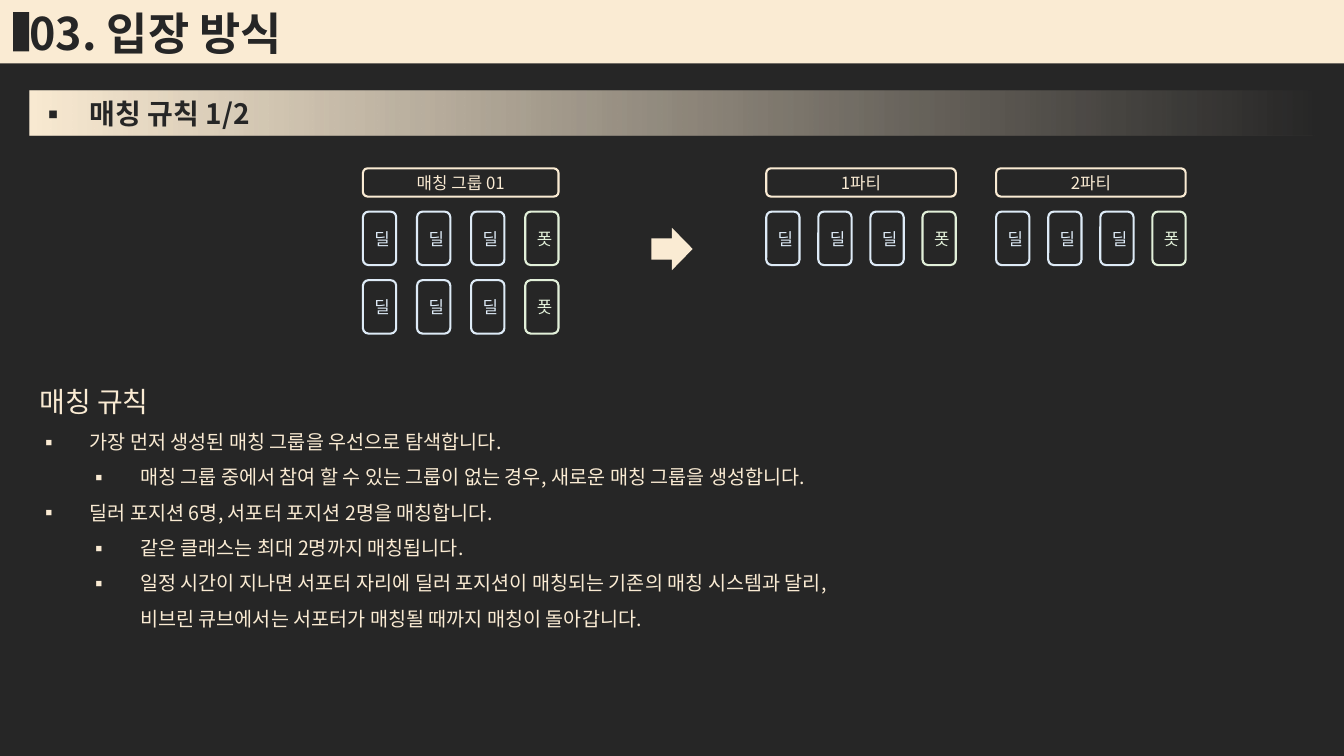
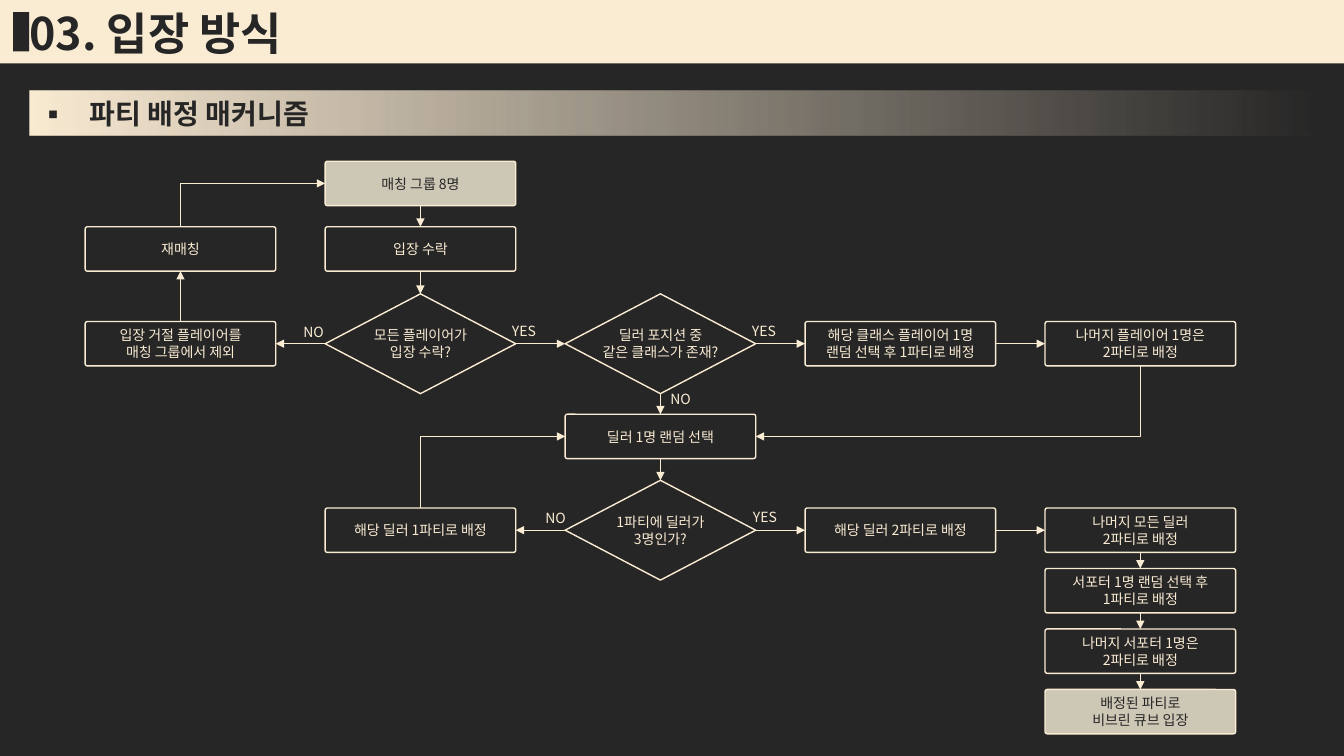
"""Build the two entry-matching slides: the matching rules and the party assignment flow."""
import copy
from dataclasses import dataclass

from pptx import Presentation
from pptx import util as u
from pptx.dml.color import RGBColor
from pptx.enum import shapes, text
from pptx.oxml import parse_xml
from pptx.oxml.ns import nsdecls, qn


@dataclass(frozen=True)
class Theme:
    """Colours, font and type sizes of the deck."""
    dark: str = "262626"
    cream: str = "FAEBD3"
    stone: str = "CDC7B6"
    dealer: str = "DEEBF7"
    support: str = "E2F0D9"
    font: str = "Noto Sans CJK KR"
    title: int = 32
    heading: int = 20
    body: int = 14
    card: int = 12
    flow: int = 10


@dataclass(frozen=True)
class Line:
    """One paragraph; depth 0 has no bullet."""
    words: str
    depth: int = 0
    size: int = 14


@dataclass(frozen=True)
class Squad:
    """A labelled set of player cards."""
    label: str
    left: float
    width: float
    rows: int = 1


@dataclass(frozen=True)
class Step:
    """A flow step centred on a column and a height."""
    words: str
    column: int
    middle: float
    decision: bool = False
    terminal: bool = False


@dataclass(frozen=True)
class Link:
    """An arrow between two steps, leaving and arriving at given sides."""
    start: str
    leave: int
    end: str
    arrive: int


@dataclass(frozen=True)
class Answer:
    """A YES or NO label beside an arrow."""
    words: str
    left: float
    top: float


THEME = Theme()
TOP, LEFT, BOTTOM, RIGHT = range(4)
SLIDE_WIDTH, SLIDE_HEIGHT = 13.33, 7.5
CARD_WIDTH, CARD_HEIGHT = 0.33, 0.53
STEP_WIDTH, STEP_HEIGHT, DECISION_HEIGHT = 1.89, 0.44, 0.99
FIRST_COLUMN, COLUMN_PITCH = 1.79, 2.38

RULES = [
    Line("매칭 규칙", size=THEME.heading),
    Line("가장 먼저 생성된 매칭 그룹을 우선으로 탐색합니다.", 1),
    Line("매칭 그룹 중에서 참여 할 수 있는 그룹이 없는 경우, 새로운 매칭 그룹을 생성합니다.", 2),
    Line("딜러 포지션 6명, 서포터 포지션 2명을 매칭합니다.", 1),
    Line("같은 클래스는 최대 2명까지 매칭됩니다.", 2),
    Line("일정 시간이 지나면 서포터 자리에 딜러 포지션이 매칭되는 기존의 매칭 시스템과 달리,\n"
         "비브린 큐브에서는 서포터가 매칭될 때까지 매칭이 돌아갑니다.", 2),
]

SQUADS = [
    Squad("매칭 그룹 01", 3.6, 1.94, rows=2),
    Squad("1파티", 7.6, 1.88),
    Squad("2파티", 9.88, 1.88),
]

STEPS = {
    "group": Step("매칭 그룹 8명", 1, 1.82, terminal=True),
    "accept": Step("입장 수락", 1, 2.47),
    "rematch": Step("재매칭", 0, 2.47),
    "exclude": Step("입장 거절 플레이어를\n매칭 그룹에서 제외", 0, 3.41),
    "all accepted": Step("모든 플레이어가\n입장 수락?", 1, 3.41, decision=True),
    "same class": Step("딜러 포지션 중\n같은 클래스가 존재?", 2, 3.41, decision=True),
    "class first": Step("해당 클래스 플레이어 1명\n랜덤 선택 후 1파티로 배정", 3, 3.41),
    "class second": Step("나머지 플레이어 1명은\n2파티로 배정", 4, 3.41),
    "pick dealer": Step("딜러 1명 랜덤 선택", 2, 4.33),
    "dealer first": Step("해당 딜러 1파티로 배정", 1, 5.26),
    "three dealers": Step("1파티에 딜러가\n3명인가?", 2, 5.26, decision=True),
    "dealer second": Step("해당 딜러 2파티로 배정", 3, 5.26),
    "other dealers": Step("나머지 모든 딜러\n2파티로 배정", 4, 5.26),
    "support first": Step("서포터 1명 랜덤 선택 후\n1파티로 배정", 4, 5.86),
    "support second": Step("나머지 서포터 1명은\n2파티로 배정", 4, 6.46),
    "enter": Step("배정된 파티로\n비브린 큐브 입장", 4, 7.06, terminal=True),
}

LINKS = [
    Link("group", BOTTOM, "accept", TOP),
    Link("accept", BOTTOM, "all accepted", TOP),
    Link("all accepted", LEFT, "exclude", RIGHT),
    Link("exclude", TOP, "rematch", BOTTOM),
    Link("rematch", TOP, "group", LEFT),
    Link("all accepted", RIGHT, "same class", LEFT),
    Link("same class", RIGHT, "class first", LEFT),
    Link("class first", RIGHT, "class second", LEFT),
    Link("class second", BOTTOM, "pick dealer", RIGHT),
    Link("same class", BOTTOM, "pick dealer", TOP),
    Link("pick dealer", BOTTOM, "three dealers", TOP),
    Link("three dealers", LEFT, "dealer first", RIGHT),
    Link("dealer first", TOP, "pick dealer", LEFT),
    Link("three dealers", RIGHT, "dealer second", LEFT),
    Link("dealer second", RIGHT, "other dealers", LEFT),
    Link("other dealers", BOTTOM, "support first", TOP),
    Link("support first", BOTTOM, "support second", TOP),
    Link("support second", BOTTOM, "enter", TOP),
]

ANSWERS = [
    Answer("NO", 2.73, 3.16),
    Answer("YES", 4.98, 3.15),
    Answer("YES", 7.36, 3.15),
    Answer("NO", 6.37, 3.83),
    Answer("NO", 5.13, 5.01),
    Answer("YES", 7.37, 5),
]


def box(left: float, top: float, width: float, height: float) -> tuple:
    """Return a rectangle in inches as lengths."""
    return tuple(u.Inches(value) for value in (left, top, width, height))


def write(paragraph, words: str, *, size: int, color: str, bold: bool = False,
          align=text.PP_ALIGN.LEFT, spacing: float = 1, depth: int = 0) -> None:
    """Fill a paragraph with formatted text, bulleted when depth is above 0."""
    paragraph.text = words
    properties = paragraph._p.get_or_add_pPr()
    properties.set("marL", str(u.Inches(0.5 * depth)))
    properties.set("indent", str(u.Inches(-0.5 if depth else 0)))
    if depth:
        properties.append(parse_xml(f'<a:buFont {nsdecls("a")} typeface="{THEME.font}"/>'))
        properties.append(parse_xml(f'<a:buChar {nsdecls("a")} char="▪"/>'))
        paragraph.level = depth - 1
    else:
        properties.append(parse_xml(f'<a:buNone {nsdecls("a")}/>'))
    paragraph.alignment = align
    paragraph.line_spacing = spacing
    paragraph.space_before = u.Pt(0)
    for run in paragraph.runs:
        run.font.size, run.font.bold, run.font.name = u.Pt(size), bold, THEME.font
        run.font.color.rgb = RGBColor.from_string(color)
        run._r.rPr.append(parse_xml(f'<a:ea {nsdecls("a")} typeface="{THEME.font}"/>'))
    for line_break in paragraph._p.findall(qn("a:br")):
        line_break.append(copy.deepcopy(paragraph.runs[0]._r.rPr))


def draw(slide, kind, area: tuple, *, fill: str = "", line: str = "", weight: float = 1):
    """Add a flat preset shape."""
    shape = slide.shapes.add_shape(kind, *area)
    shape.shadow.inherit = False
    if fill:
        shape.fill.solid()
        shape.fill.fore_color.rgb = RGBColor.from_string(fill)
    else:
        shape.fill.background()
    if line:
        shape.line.color.rgb = RGBColor.from_string(line)
        shape.line.width = u.Pt(weight)
    else:
        shape.line.fill.background()
    return shape


def place(slide, placeholder, area: tuple, anchor=text.MSO_ANCHOR.MIDDLE):
    """Move a placeholder to the front of an area and return its text frame."""
    placeholder.left, placeholder.top, placeholder.width, placeholder.height = area
    slide.shapes._spTree.append(placeholder._element)
    frame = placeholder.text_frame
    frame.auto_size, frame.word_wrap = text.MSO_AUTO_SIZE.NONE, True
    frame.vertical_anchor = anchor
    return frame


def start_slide(deck, layout: int, heading: str):
    """Add a slide with the title band and the fading heading band."""
    slide = deck.slides.add_slide(deck.slide_layouts[layout])
    rectangle = shapes.MSO_SHAPE.RECTANGLE
    fading = draw(slide, rectangle, box(0.29, 0.9, 12.75, 0.44))._element.spPr
    stops = "".join(
        f'<a:gs pos="{percent * 1000}"><a:srgbClr val="{THEME.cream}">'
        f'<a:alpha val="{percent * 1000}"/></a:srgbClr></a:gs>' for percent in (0, 50, 100))
    fading.replace(fading.find(qn("a:noFill")), parse_xml(
        f'<a:gradFill {nsdecls("a")} rotWithShape="1"><a:gsLst>{stops}</a:gsLst>'
        '<a:lin ang="10800000" scaled="0"/></a:gradFill>'))
    draw(slide, rectangle, box(0, 0, SLIDE_WIDTH, 0.63), fill=THEME.cream)
    draw(slide, rectangle, box(0.13, 0.12, 0.16, 0.39), fill=THEME.dark)
    title = place(slide, slide.shapes.title, box(0, 0, 4.37, 0.64))
    title.margin_left = u.Inches(0.29)
    write(title.paragraphs[0], "03. 입장 방식", size=THEME.title, color=THEME.dark, bold=True)
    subtitle = place(slide, slide.placeholders[1], box(0.29, 0.9, 5.25, 0.44))
    write(subtitle.paragraphs[0], heading, size=THEME.heading, color=THEME.dark, bold=True, depth=1)
    return slide


def draw_squad(slide, squad: Squad) -> None:
    """Draw a squad label above rows of three dealers and one supporter."""
    pitch = (squad.width - CARD_WIDTH) / 3
    cards = [(squad.label, THEME.cream, box(squad.left, 1.67, squad.width, 0.28))]
    for row in range(squad.rows):
        for seat in range(4):
            role, color = ("폿", THEME.support) if seat == 3 else ("딜", THEME.dealer)
            cards.append((role, color, box(squad.left + seat * pitch, 2.1 + row * 0.68,
                                           CARD_WIDTH, CARD_HEIGHT)))
    for words, color, area in cards:
        card = draw(slide, shapes.MSO_SHAPE.ROUNDED_RECTANGLE, area, line=color, weight=1.5)
        write(card.text_frame.paragraphs[0], words, size=THEME.card, color=color,
              align=text.PP_ALIGN.CENTER)


def draw_step(slide, step: Step):
    """Draw a flow step as a box or a decision diamond."""
    height = DECISION_HEIGHT if step.decision else STEP_HEIGHT
    center = FIRST_COLUMN + step.column * COLUMN_PITCH
    kind = shapes.MSO_SHAPE.DIAMOND if step.decision else shapes.MSO_SHAPE.ROUNDED_RECTANGLE
    shape = draw(slide, kind, box(center - STEP_WIDTH / 2, step.middle - height / 2, STEP_WIDTH, height),
                 fill=THEME.stone if step.terminal else "", line=THEME.cream)
    if step.decision:
        shape.text_frame.word_wrap = False
    else:
        shape.adjustments[0] = 0.05
    write(shape.text_frame.paragraphs[0], step.words, size=THEME.flow,
          color=THEME.dark if step.terminal else THEME.cream, align=text.PP_ALIGN.CENTER)
    return shape


def draw_link(slide, link: Link, drawn: dict) -> None:
    """Join two steps with an arrow that bends once when its sides are not opposite."""
    bent = (link.leave - link.arrive) % 2 == 1
    kind = shapes.MSO_CONNECTOR.ELBOW if bent else shapes.MSO_CONNECTOR.STRAIGHT
    arrow = slide.shapes.add_connector(kind, 0, 0, 0, 0)
    arrow.begin_connect(drawn[link.start], link.leave)
    arrow.end_connect(drawn[link.end], link.arrive)
    arrow.line.color.rgb = RGBColor.from_string(THEME.cream)
    arrow.line.width = u.Pt(0.5)
    properties = arrow._element.spPr
    properties.find(qn("a:ln")).append(parse_xml(f'<a:tailEnd {nsdecls("a")} type="triangle"/>'))
    properties.append(parse_xml(f'<a:effectLst {nsdecls("a")}/>'))
    if bent:
        across, down = arrow.end_x - arrow.begin_x, arrow.end_y - arrow.begin_y
        middle_x, middle_y = arrow.begin_x + across // 2, arrow.begin_y + down // 2
        arrow.width, arrow.height = abs(down), abs(across)
        arrow.left, arrow.top = middle_x - abs(down) // 2, middle_y - abs(across) // 2
        frame = properties.find(qn("a:xfrm"))
        frame.set("rot", "5400000")
        frame.set("flipH", str(int(down < 0)))
        frame.set("flipV", str(int(across > 0)))
        properties.find(qn("a:prstGeom")).set("prst", "bentConnector2")


def draw_answer(slide, answer: Answer) -> None:
    """Write a YES or NO beside its arrow."""
    frame = slide.shapes.add_textbox(*box(answer.left, answer.top, 0.76, 0.26)).text_frame
    frame.word_wrap, frame.vertical_anchor = True, text.MSO_ANCHOR.MIDDLE
    write(frame.paragraphs[0], answer.words, size=THEME.flow, color=THEME.cream,
          align=text.PP_ALIGN.CENTER if answer.words == "NO" else text.PP_ALIGN.LEFT)


def build_rules(deck) -> None:
    """Build the slide on matching rules."""
    slide = start_slide(deck, 3, "매칭 규칙 1/2")
    frame = place(slide, slide.placeholders[2], box(0.29, 3.6, 11.06, 2.69), text.MSO_ANCHOR.TOP)
    for index, rule in enumerate(RULES):
        paragraph = frame.add_paragraph() if index else frame.paragraphs[0]
        write(paragraph, rule.words, size=rule.size, color=THEME.cream, spacing=1.5, depth=rule.depth)
    for squad in SQUADS:
        draw_squad(slide, squad)
    draw(slide, shapes.MSO_SHAPE.RIGHT_ARROW, box(6.46, 2.26, 0.41, 0.42), fill=THEME.cream)


def build_flow(deck) -> None:
    """Build the slide on the party assignment flow."""
    slide = start_slide(deck, 1, "파티 배정 매커니즘")
    drawn = {key: draw_step(slide, step) for key, step in STEPS.items()}
    for link in LINKS:
        draw_link(slide, link, drawn)
    for answer in ANSWERS:
        draw_answer(slide, answer)


def main() -> None:
    """Build and save the deck."""
    deck = Presentation()
    deck.slide_width, deck.slide_height = u.Inches(SLIDE_WIDTH), u.Inches(SLIDE_HEIGHT)
    backdrop = deck.slide_master.background.fill
    backdrop.solid()
    backdrop.fore_color.rgb = RGBColor.from_string(THEME.dark)
    build_rules(deck)
    build_flow(deck)
    deck.save("out.pptx")


if __name__ == "__main__":
    main()
